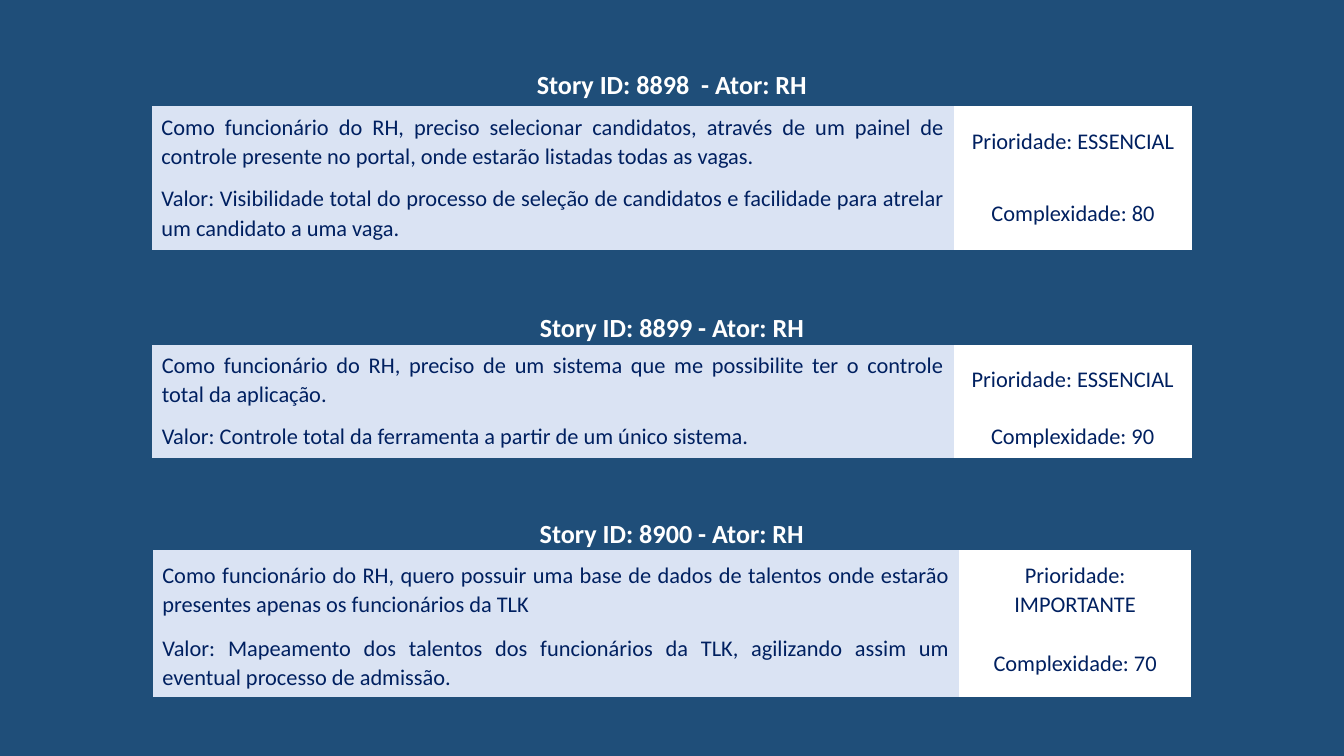
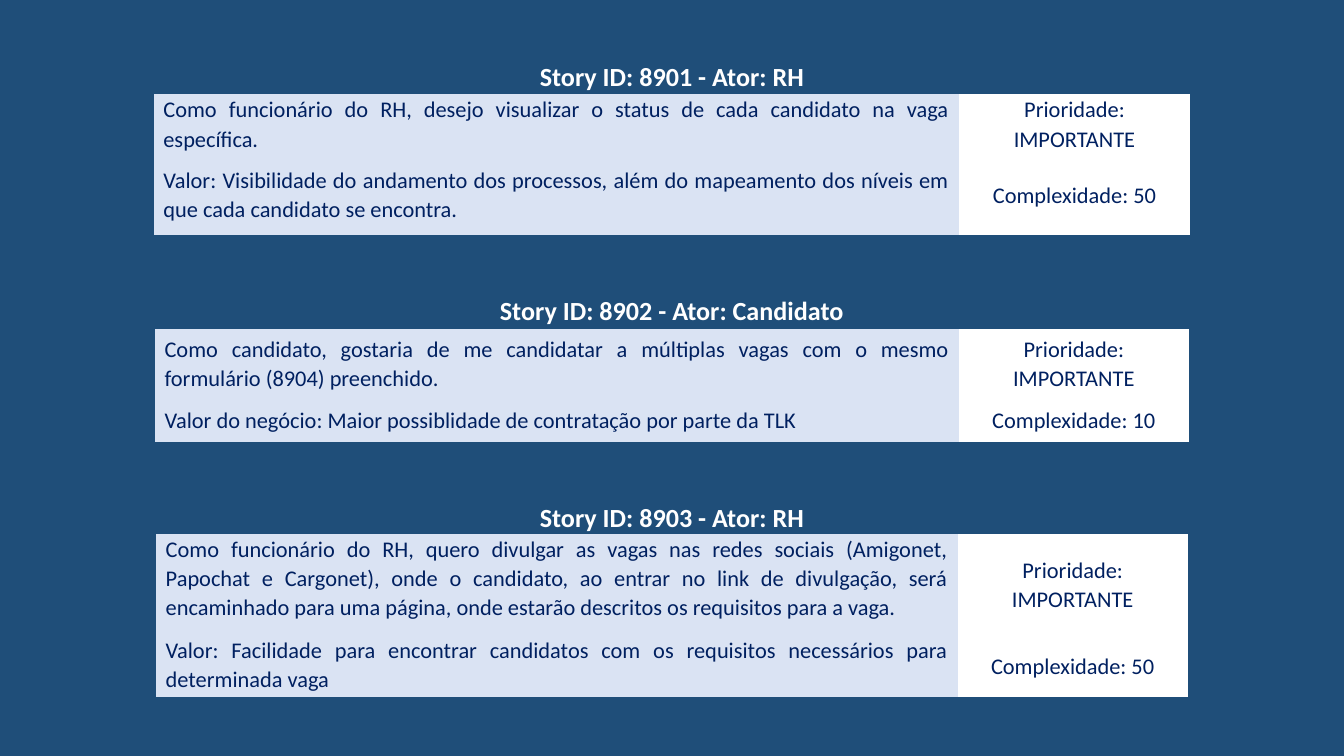
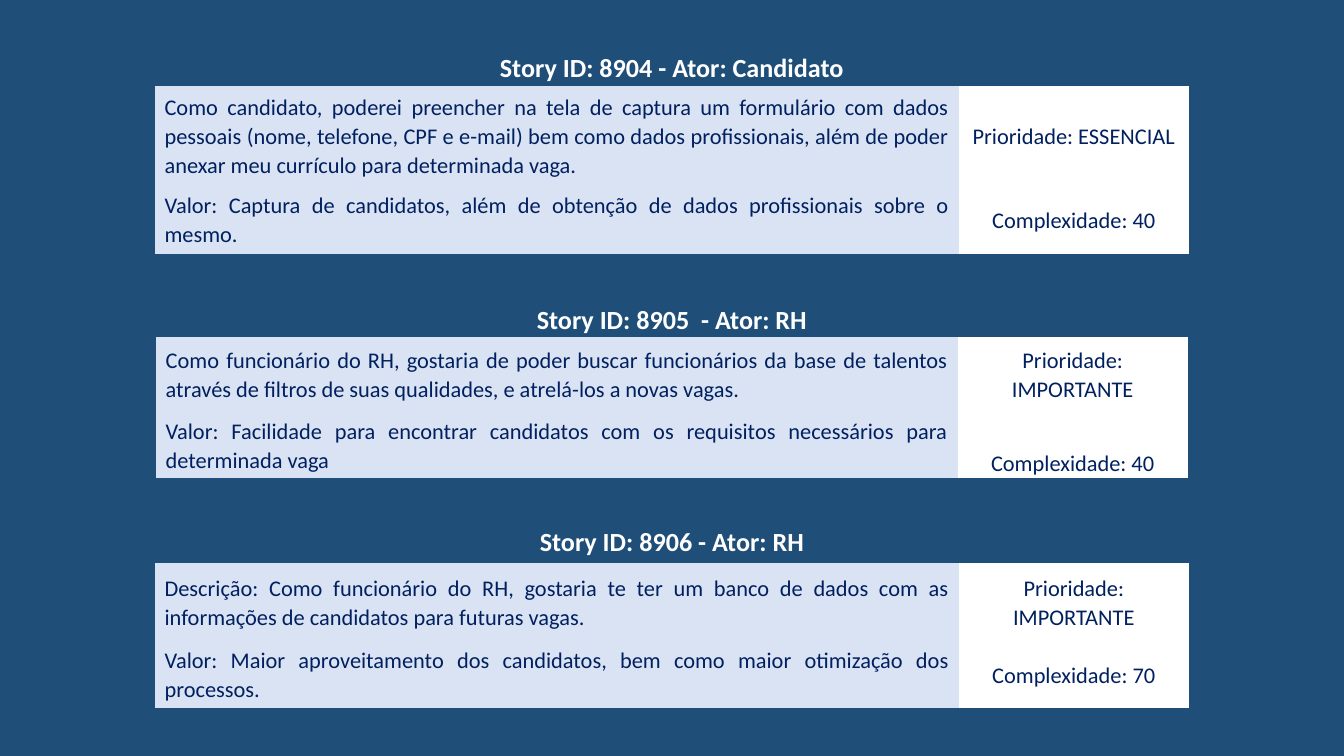
from pptx import Presentation
from pptx.dml.color import RGBColor
from pptx.enum.text import MSO_ANCHOR, PP_ALIGN
from pptx.oxml.ns import qn
from pptx.util import Pt

WIDE, HIGH = 720, 405
NAVY, INK, PALE, WHITE = "1F4E79", "002060", "DAE3F3", "FFFFFF"
PLAIN = "{2D5ABB26-0587-4C30-8999-92F81FD0307C}"
TOP, MID, BASE = MSO_ANCHOR.TOP, MSO_ANCHOR.MIDDLE, MSO_ANCHOR.BOTTOM
MUST, NEXT = "ESSENCIAL", "IMPORTANTE"

SLIDES = [
    [
        dict(top=33.1, cols=(429.8, 127.4), rows=(23.8, 37.4, 39.6),
             title="Story ID: 8898  - Ator: RH", rank=MUST, cost=80,
             need="Como funcionário do RH, preciso selecionar candidatos, através de um painel "
                  "de controle presente no portal, onde estarão listadas todas as vagas.",
             gain="Valor: Visibilidade total do processo de seleção de candidatos e facilidade "
                  "para atrelar um candidato a uma vaga."),
        dict(top=166.3, cols=(429.4, 127.4), rows=(18.5, 36.7, 23.8),
             title="Story ID: 8899 - Ator: RH", rank=MUST, cost=90,
             need="Como funcionário do RH, preciso de um sistema que me possibilite ter o "
                  "controle total da aplicação.",
             gain="Valor: Controle total da ferramenta a partir de um único sistema."),
        dict(top=276.3, cols=(432, 124.2), rows=(18.5, 41.8, 36.7),
             title="Story ID: 8900 - Ator: RH", rank=NEXT, cost=70,
             need="Como funcionário do RH, quero possuir uma base de dados de talentos onde "
                  "estarão presentes apenas os funcionários da TLK",
             gain="Valor: Mapeamento dos talentos dos funcionários da TLK, agilizando assim um "
                  "eventual processo de admissão."),
    ],
    [
        dict(top=31.7, cols=(431.3, 123.8), rows=(18.5, 32.4, 43.2),
             title="Story ID: 8901 - Ator: RH", rank=NEXT, cost=50,
             need="Como funcionário do RH, desejo visualizar o status de cada candidato na vaga "
                  "específica.",
             gain="Valor: Visibilidade do andamento dos processos, além do mapeamento dos níveis "
                  "em que cada candidato se encontra."),
        dict(top=157, cols=(430.6, 123.2), rows=(19.2, 36.7, 23.8),
             title="Story ID: 8902 - Ator: Candidato", rank=NEXT, cost=10, head=TOP,
             need="Como candidato, gostaria de me candidatar a múltiplas vagas com o mesmo "
                  "formulário (8904) preenchido.",
             gain="Valor do negócio: Maior possiblidade de contratação por parte da TLK"),
        dict(top=267.8, cols=(429.4, 123.2), rows=(18.5, 54, 33.1),
             title="Story ID: 8903 - Ator: RH", rank=NEXT, cost=50, body=TOP,
             need="Como funcionário do RH, quero divulgar as vagas nas redes sociais (Amigonet, "
                  "Papochat e Cargonet), onde o candidato, ao entrar no link de divulgação, será "
                  "encaminhado para uma página, onde estarão descritos os requisitos para a vaga.",
             gain="Valor: Facilidade para encontrar candidatos com os requisitos necessários para "
                  "determinada vaga"),
    ],
    [
        dict(top=25.9, cols=(430.6, 123.2), rows=(20.2, 53.3, 36.7),
             title="Story ID: 8904 - Ator: Candidato", rank=MUST, cost=40,
             need="Como candidato, poderei preencher na tela de captura um formulário com dados "
                  "pessoais (nome, telefone, CPF e e-mail) bem como dados profissionais, além de "
                  "poder anexar meu currículo para determinada vaga.",
             gain="Valor: Captura de candidatos, além de obtenção de dados profissionais sobre o "
                  "mesmo."),
        dict(top=162, cols=(429.4, 123.2), rows=(18.5, 40.3, 35.3),
             title="Story ID: 8905  - Ator: RH", rank=NEXT, cost=40, last=BASE,
             need="Como funcionário do RH, gostaria de poder buscar funcionários da base de "
                  "talentos através de filtros de suas qualidades, e atrelá-los a novas vagas.",
             gain="Valor: Facilidade para encontrar candidatos com os requisitos necessários para "
                  "determinada vaga"),
        dict(top=280.8, cols=(430.6, 123.2), rows=(20.9, 41.8, 36),
             title="Story ID: 8906 - Ator: RH", rank=NEXT, cost=70, head=TOP,
             need="Descrição: Como funcionário do RH, gostaria te ter um banco de dados com as "
                  "informações de candidatos para futuras vagas.",
             gain="Valor: Maior aproveitamento dos candidatos, bem como maior otimização dos "
                  "processos."),
    ],
]


def paint(color, code):
    color.rgb = RGBColor.from_string(code)


def put(item, form):
    for name, value in form.items():
        setattr(item, name, value)


class Deck:
    edge = dict(margin_left=Pt(5.1), margin_right=Pt(5.1), margin_top=0, margin_bottom=0)
    head = dict(name="Calibri", size=Pt(14), bold=True)
    body = dict(name="Calibri", size=Pt(12), bold=False)

    def __init__(self):
        self.show = Presentation()
        put(self.show, dict(slide_width=Pt(WIDE), slide_height=Pt(HIGH)))
        self.slide = None

    def page(self):
        self.slide = self.show.slides.add_slide(self.show.slide_layouts[6])
        fill = self.slide.background.fill
        fill.solid()
        paint(fill.fore_color, NAVY)

    def cell(self, cell, text, font, ink, back=None, side=PP_ALIGN.CENTER, hold=MID):
        put(cell, dict(self.edge, vertical_anchor=hold))
        if back:
            cell.fill.solid()
            paint(cell.fill.fore_color, back)
        else:
            cell.fill.background()
        para = cell.text_frame.paragraphs[0]
        put(para, dict(alignment=side, line_spacing=1.07))
        run = para.add_run()
        run.text = text
        put(run.font, font)
        paint(run.font.color, ink)

    def story(self, top, cols, rows, title, rank, cost, need, gain,
              head=MID, body=MID, last=MID):
        wide = sum(cols)
        frame = self.slide.shapes.add_table(
            3, 2, Pt((WIDE - wide) / 2), Pt(top), Pt(wide), Pt(sum(rows)))
        grid = frame.table
        put(grid, dict(first_row=False, horz_banding=False))
        next(frame._element.iter(qn("a:tableStyleId"))).text = PLAIN
        for col, size in zip(grid.columns, cols):
            col.width = Pt(size)
        for row, size in zip(grid.rows, rows):
            row.height = Pt(size)
        grid.cell(0, 0).merge(grid.cell(0, 1))
        self.cell(grid.cell(0, 0), title, self.head, WHITE, hold=head)
        pairs = [(need, f"Prioridade: {rank}", MID), (gain, f"Complexidade: {cost}", last)]
        for line, (text, note, hold) in enumerate(pairs, 1):
            self.cell(grid.cell(line, 0), text, self.body, INK, PALE, PP_ALIGN.JUSTIFY, body)
            self.cell(grid.cell(line, 1), note, self.body, INK, WHITE, hold=hold)


def main():
    deck = Deck()
    for tales in SLIDES:
        deck.page()
        for tale in tales:
            deck.story(**tale)
    deck.show.save("out.pptx")


if __name__ == "__main__":
    main()
